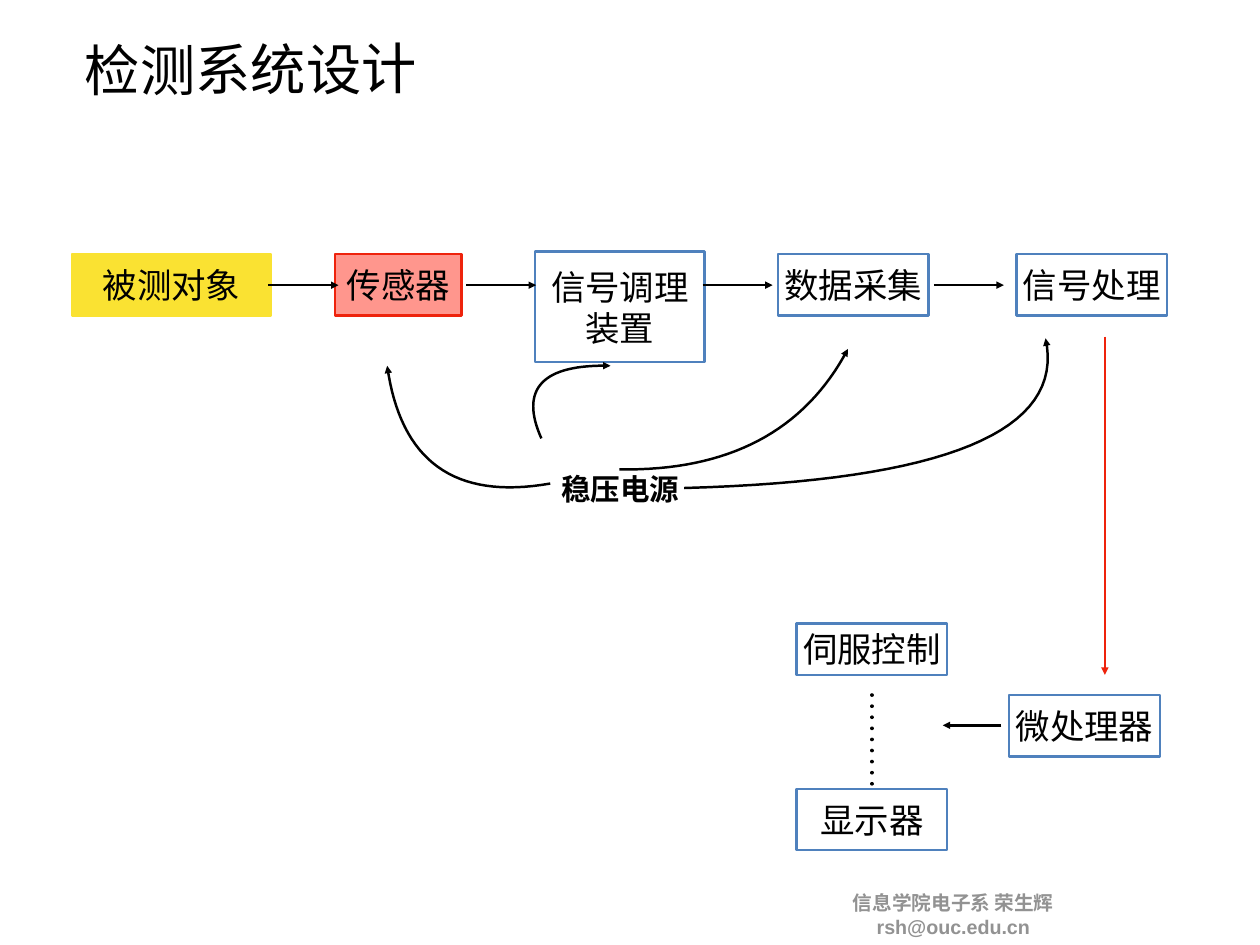
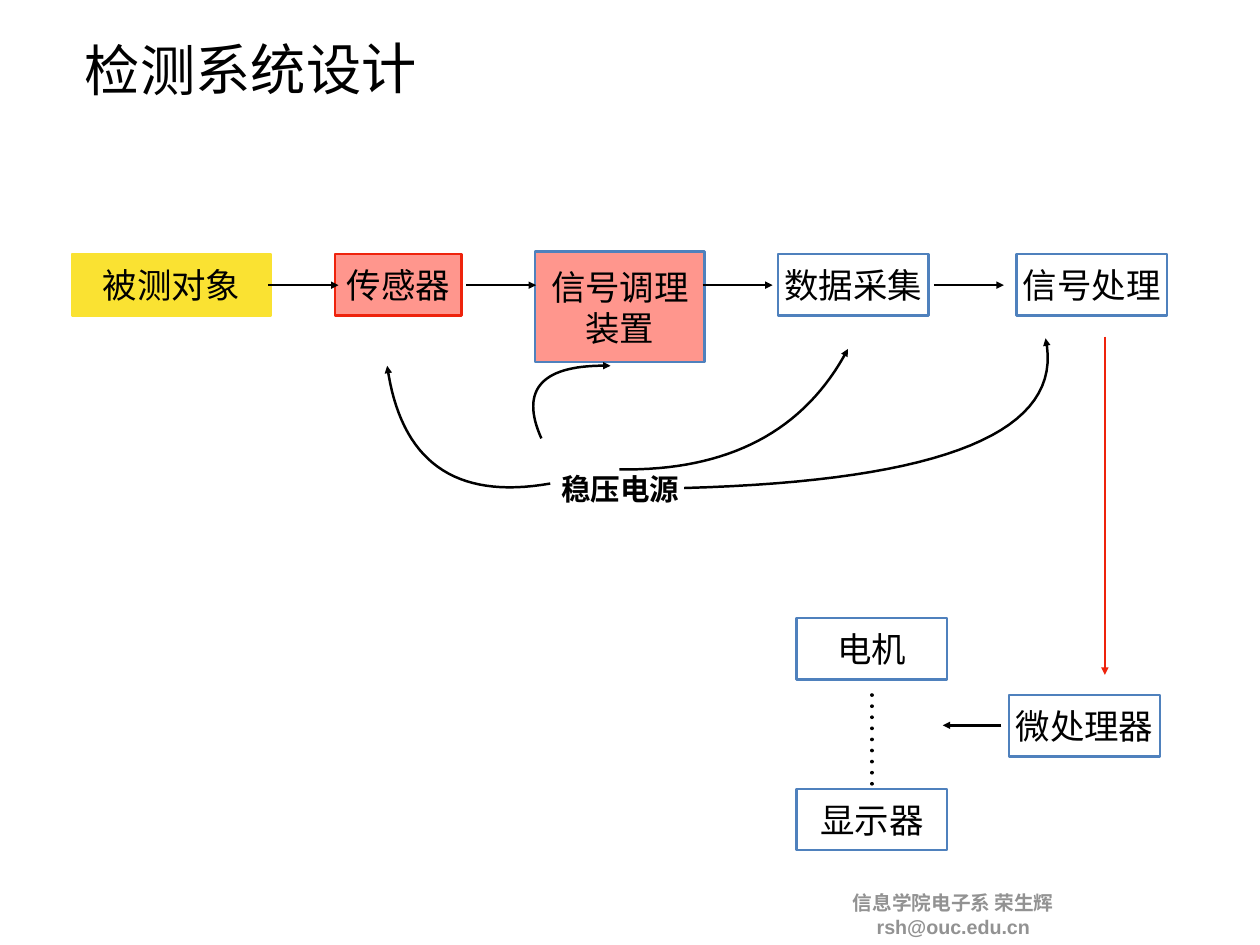
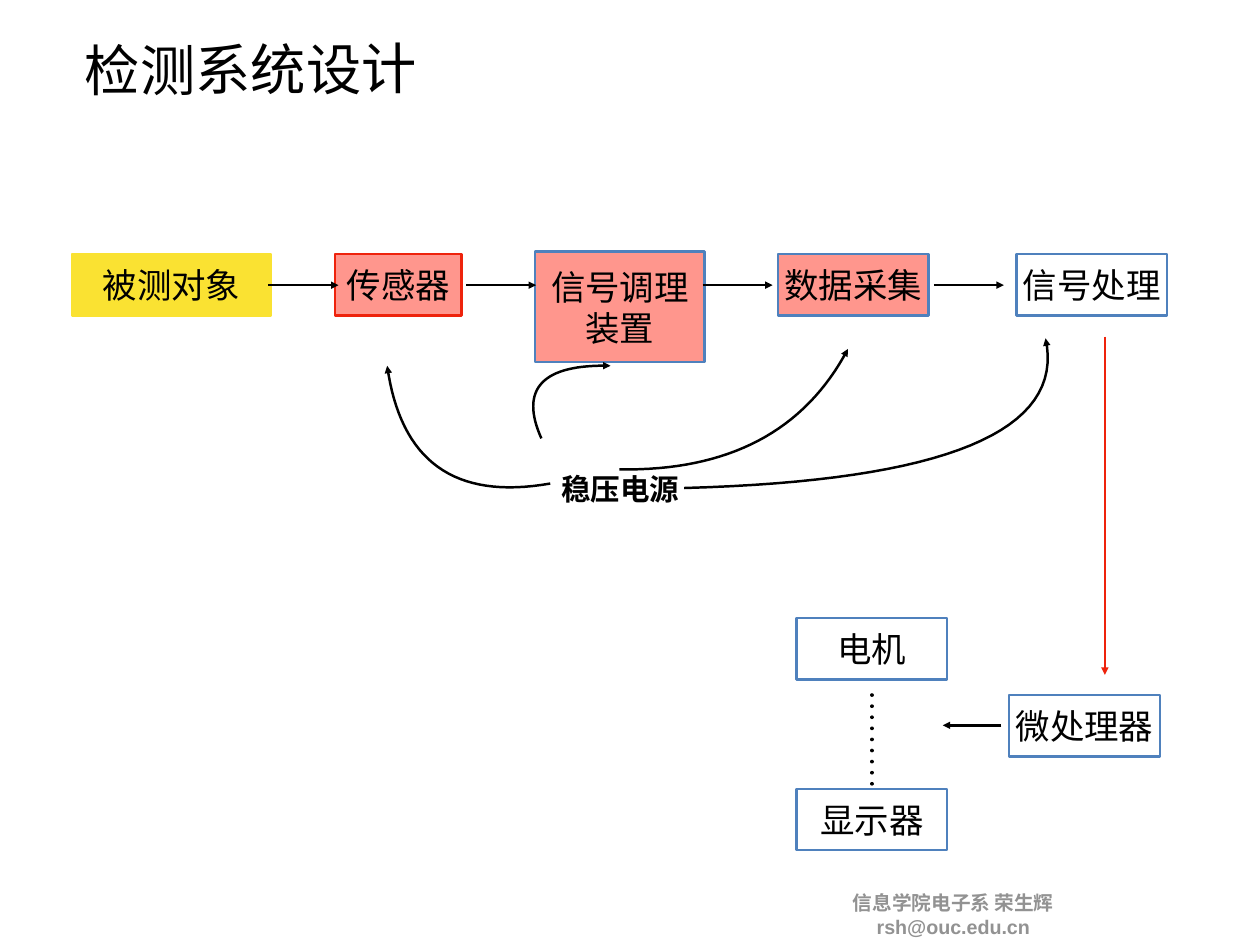
from dataclasses import dataclass

from lxml import etree
from pptx import Presentation
from pptx.dml.color import RGBColor
from pptx.enum.shapes import MSO_CONNECTOR, MSO_SHAPE
from pptx.enum.text import MSO_ANCHOR, PP_ALIGN
from pptx.oxml.ns import qn
from pptx.util import Pt

RECT = MSO_SHAPE.RECTANGLE
STRAIGHT = MSO_CONNECTOR.STRAIGHT
MIDDLE = MSO_ANCHOR.MIDDLE
CENTER = PP_ALIGN.CENTER
EMU_PER_PX = 9144


def px(n):
    return round(n * EMU_PER_PX)


@dataclass(frozen=True)
class Theme:
    black: str = "000000"
    white: str = "FFFFFF"
    gray: str = "929292"
    blue: str = "4F81BD"
    red: str = "EE230C"
    pink: str = "FF968D"
    yellow: str = "FAE232"
    latin: str = "Arial"
    cjk: str = "Noto Sans CJK SC"
    title_size: int = 45
    box_size: int = 28
    label_size: int = 24
    footer_size: int = 16
    line_width: int = 2
    dot_width: int = 3
    inset: int = 6


THEME = Theme()
WIDTH, HEIGHT = 1422, 1067
TITLE = "检测系统设计"
FOOTER = "信息学院电子系 荣生辉 rsh@ouc.edu.cn"
BOX_W, BOX_H = 170, 69
STAGE_TOP = 287
STAGES = [
    ("被测对象", 81, STAGE_TOP, 225, BOX_H, THEME.yellow),
    ("传感器", 378, STAGE_TOP, 143, BOX_H, THEME.red),
    ("信号调理装置", 604, 284, 191, 125, THEME.blue),
    ("数据采集", 878, STAGE_TOP, BOX_W, BOX_H, THEME.blue),
    ("信号处理", 1147, STAGE_TOP, BOX_W, BOX_H, THEME.blue),
]
FLOW_Y, FLOW_LENGTH = 322, 79
FLOW_STARTS = (303, 526, 793, 1054)
SUPPLY_CURVES = [
    [(621, 546), (513, 565), (452, 521), (437, 413)],
    [(611, 495), (586, 439), (612, 411), (689, 413)],
    [(699, 530), (822, 532), (908, 487), (957, 394)],
    [(772, 551), (1067, 543), (1203, 487), (1180, 382)],
]
OUTPUT_LEFT, OUTPUT_MIDDLE = 899, 733
SLIDES = [(1, "伺服控制", 58), (2, "电机", BOX_H), (3, "电机", BOX_H)]


def bezier(points, t):
    weights = ((1 - t) ** 3, 3 * t * (1 - t) ** 2, 3 * t**2 * (1 - t), t**3)
    return tuple(px(sum(w * pt[i] for w, pt in zip(weights, points))) for i in (0, 1))


class Deck:
    def __init__(self, theme):
        self.theme = theme
        self.prs = Presentation()
        self.prs.slide_width, self.prs.slide_height = px(WIDTH), px(HEIGHT)
        self.s = None

    def add_slide(self):
        self.s = self.prs.slides.add_slide(self.prs.slide_layouts[6])
        fill = self.s.background.fill
        fill.solid()
        fill.fore_color.rgb = RGBColor.from_string(self.theme.white)

    def set_text(self, sp, text, size, font, color, bold=False, wrap=True):
        tf = sp.text_frame
        tf.text = text
        tf.word_wrap = wrap
        tf.vertical_anchor = MIDDLE
        tf.margin_left = tf.margin_right = px(self.theme.inset)
        tf.margin_top = tf.margin_bottom = px(self.theme.inset)
        p = tf.paragraphs[0]
        p.alignment = CENTER
        r = p.runs[0]
        r.font.size, r.font.name, r.font.bold = Pt(size), font, bold
        r.font.color.rgb = RGBColor.from_string(color)
        for rpr in sp.element.iter(qn("a:rPr")):
            etree.SubElement(rpr, qn("a:ea"), typeface=self.theme.cjk)

    def text(self, text, x, y, w, h, size, font, color, **style):
        sp = self.s.shapes.add_textbox(px(x), px(y), px(w), px(h))
        self.set_text(sp, text, size, font, color, **style)
        return sp

    def title(self, text):
        t = self.theme
        sp = self.text(text, 40, 17, 486, 120, t.title_size, t.cjk, t.black)
        sp.rotation = -0.4

    def footer(self, text):
        t = self.theme
        self.text(text, 951, 1003, 250, 60, t.footer_size, t.latin, t.gray, bold=True)

    def label(self, text, x, y, w, h):
        t = self.theme
        self.text(text, x, y, w, h, t.label_size, t.latin, t.black, bold=True, wrap=False)

    def stroke(self, sp, color, width):
        sp.line.color.rgb = RGBColor.from_string(color)
        sp.line.width = Pt(width)
        return sp.element.spPr.find(qn("a:ln"))

    def arrowhead(self, ln):
        etree.SubElement(ln, qn("a:tailEnd"), type="triangle", w="med", len="med")

    def box(self, text, x, y, w, h, fill, line):
        t = self.theme
        sp = self.s.shapes.add_shape(RECT, px(x), px(y), px(w), px(h))
        sp.shadow.inherit = False
        sp.fill.solid()
        sp.fill.fore_color.rgb = RGBColor.from_string(fill)
        self.stroke(sp, line, t.line_width)
        self.set_text(sp, text, t.box_size, t.cjk, t.black)

    def curve(self, points, steps=32):
        start, *rest = [bezier(points, i / steps) for i in range(steps + 1)]
        builder = self.s.shapes.build_freeform(*start)
        builder.add_line_segments(rest, close=False)
        sp = builder.convert_to_shape()
        sp.shadow.inherit = False
        sp.fill.background()
        self.arrowhead(self.stroke(sp, self.theme.black, self.theme.line_width))

    def line(self, x1, y1, x2, y2, color, width):
        sp = self.s.shapes.add_connector(STRAIGHT, px(x1), px(y1), px(x2), px(y2))
        ln = self.stroke(sp, color, width)
        etree.SubElement(sp.element.spPr, qn("a:effectLst"))
        return ln

    def arrow(self, x1, y1, x2, y2, color):
        self.arrowhead(self.line(x1, y1, x2, y2, color, self.theme.line_width))

    def dots(self, x1, y1, x2, y2):
        ln = self.line(x1, y1, x2, y2, self.theme.black, self.theme.dot_width)
        ln.set("cap", "rnd")
        dash = etree.SubElement(ln, qn("a:custDash"))
        etree.SubElement(dash, qn("a:ds"), d="100000", sp="200000")


def stage_fill(index, reached):
    if index == 0:
        return THEME.yellow
    return THEME.pink if index <= reached else THEME.white


def system_slide(deck, reached, actuator, actuator_h):
    deck.add_slide()
    deck.footer(FOOTER)
    for i, (name, x, y, w, h, line) in enumerate(STAGES):
        deck.box(name, x, y, w, h, stage_fill(i, reached), line)
    deck.label("稳压电源", 627, 523, 146, 57)
    for points in SUPPLY_CURVES:
        deck.curve(points)
    deck.title(TITLE)
    for x in FLOW_STARTS:
        deck.arrow(x, FLOW_Y, x + FLOW_LENGTH, FLOW_Y, THEME.black)
    outputs = [
        ("微处理器", 1139, 785, BOX_H),
        (actuator, OUTPUT_LEFT, OUTPUT_MIDDLE - (actuator_h + 1) // 2, actuator_h),
        ("显示器", OUTPUT_LEFT, 891, BOX_H),
    ]
    for name, x, y, h in outputs:
        deck.box(name, x, y, BOX_W, h, THEME.white, THEME.blue)
    dots_x = OUTPUT_LEFT + BOX_W // 2
    deck.dots(dots_x, 885, dots_x, 774)
    deck.arrow(1247, 380, 1247, 762, THEME.red)
    deck.arrow(1130, 819, 1064, 819, THEME.black)


def main():
    deck = Deck(THEME)
    for reached, actuator, actuator_h in SLIDES:
        system_slide(deck, reached, actuator, actuator_h)
    deck.prs.save("out.pptx")


if __name__ == "__main__":
    main()
